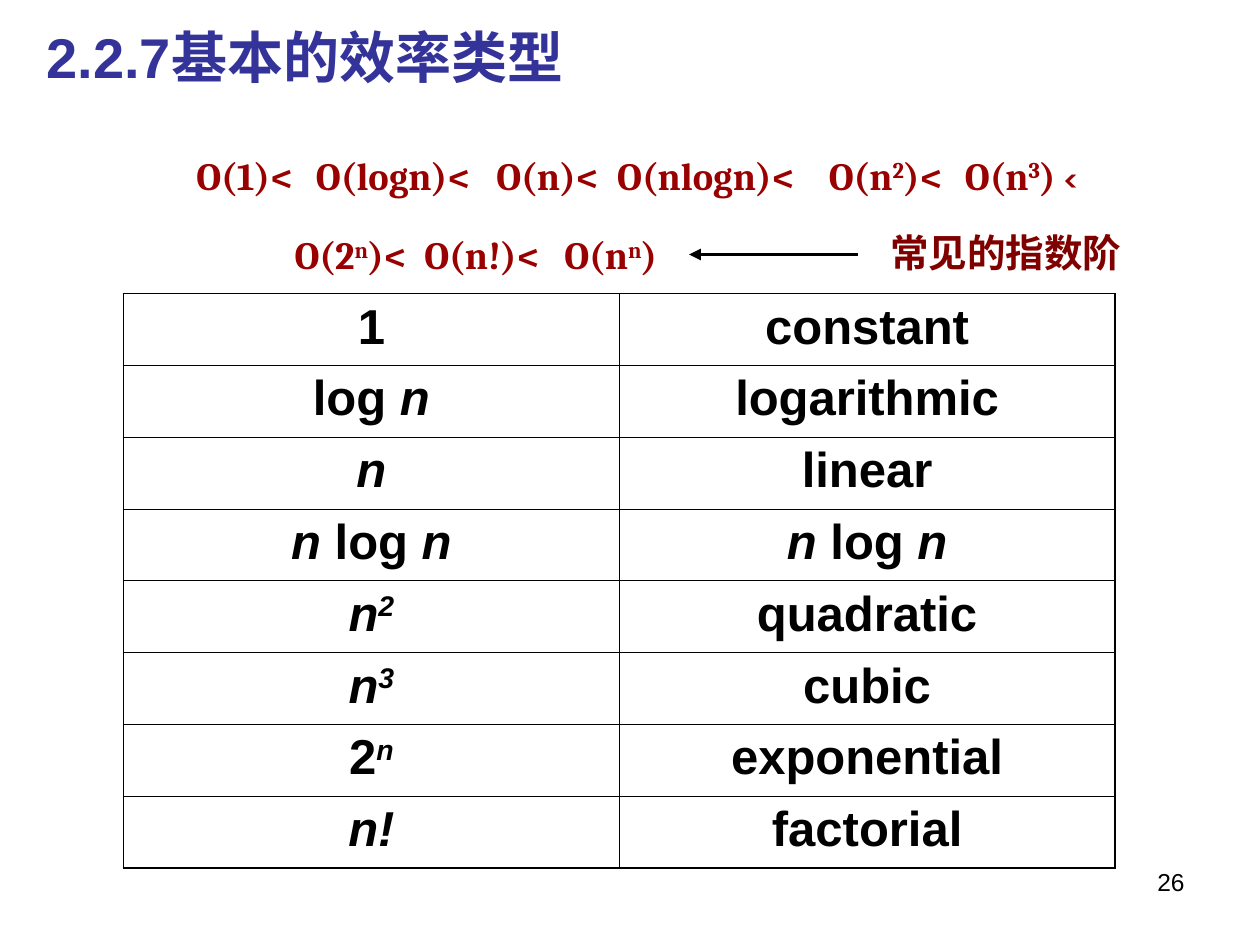
from lxml import etree
from pptx import Presentation
from pptx.dml.color import RGBColor
from pptx.enum.shapes import MSO_CONNECTOR
from pptx.enum.text import MSO_AUTO_SIZE, PP_ALIGN
from pptx.oxml.ns import qn
from pptx.util import Inches, Pt

STRAIGHT = MSO_CONNECTOR.STRAIGHT
LEFT, CENTER, RIGHT = PP_ALIGN.LEFT, PP_ALIGN.CENTER, PP_ALIGN.RIGHT
GROW = MSO_AUTO_SIZE.SHAPE_TO_FIT_TEXT
BLACK, BLUE, RED, MAROON = "000000", "333399", "990000", "800000"

SUP = {"sup": True}
ITALIC = {"italic": True}
ITALIC_SUP = {"italic": True, "sup": True}
LESS_THAN = {"font": "Cabin", "size": 18}

TITLE = [("2.2.7基本的效率类型", {})]
NOTE = [("常见的指数阶", {})]
PAGE = [("26", {})]

ORDER_ROWS = [
    (1.01, [
        (1.46, 1.05, [("O(1)<", {})]),
        (2.41, 1.56, [("O(logn)<", {})]),
        (3.84, 1.08, [("O(n)<", {})]),
        (4.80, 1.77, [("O(nlogn)<", {})]),
        (6.48, 1.18, [("O(n", {}), ("2", SUP), (")<", {})]),
        (7.56, 1.23, [("O(n", {}), ("3", SUP), (") ", {}), ("<", LESS_THAN)]),
    ]),
    (1.64, [
        (2.24, 1.17, [("O(2", {}), ("n", SUP), (")<", {})]),
        (3.27, 1.17, [("O(n!)<", {})]),
        (4.38, 1.02, [("O(n", {}), ("n", SUP), (")", {})]),
    ]),
]

N_LOG_N = [("n ", ITALIC), ("log ", {}), ("n", ITALIC)]
CLASSES = [
    ([("1", {})], [("constant", {})]),
    ([("log ", {}), ("n", ITALIC)], [("logarithmic", {})]),
    ([("n", ITALIC)], [("linear", {})]),
    (N_LOG_N, N_LOG_N),
    ([("n", ITALIC), ("2", ITALIC_SUP)], [("quadratic", {})]),
    ([("n", ITALIC), ("3", ITALIC_SUP)], [("cubic", {})]),
    ([("2", {}), ("n", ITALIC_SUP)], [("exponential", {})]),
    ([("n!", ITALIC)], [("factorial", {})]),
]
TABLE_LEFT, TABLE_TOP, TABLE_W, TABLE_H = 0.98, 2.33, 7.87, 4.56
OUTER, INNER = 1.08, 0.45


def rgb(value):
    return RGBColor.from_string(value)


def write(tf, runs, size, color, font="Arial", bold=True, align=LEFT, spacing=None):
    p = tf.paragraphs[0]
    p.alignment = align
    if spacing:
        p.line_spacing = spacing
    for text, style in runs:
        r = p.add_run()
        r.text = text
        r.font.name = style.get("font", font)
        r.font.size = Pt(style.get("size", size))
        r.font.bold = bold
        r.font.italic = style.get("italic", False)
        r.font.color.rgb = rgb(color)
        if style.get("sup"):
            r.font._element.set("baseline", "30000")


def add_text(s, box, runs, size, color, wrap=True, grow=False, **options):
    tf = s.shapes.add_textbox(*map(Inches, box)).text_frame
    tf.word_wrap = wrap
    if grow:
        tf.auto_size = GROW
    write(tf, runs, size, color, **options)


def set_borders(cell, widths):
    tc_pr = cell._tc.get_or_add_tcPr()
    for i, (side, width) in enumerate(widths.items()):
        ln = etree.Element(qn(f"a:ln{side}"), w=str(Pt(width)))
        fill = etree.SubElement(ln, qn("a:solidFill"))
        etree.SubElement(fill, qn("a:srgbClr"), val=BLACK)
        tc_pr.insert(i, ln)


def add_classes(s):
    rows, cols = len(CLASSES), len(CLASSES[0])
    box = map(Inches, (TABLE_LEFT, TABLE_TOP, TABLE_W, TABLE_H))
    table = s.shapes.add_table(rows, cols, *box).table
    table.first_row = table.horz_banding = False
    for i, row in enumerate(CLASSES):
        for j, runs in enumerate(row):
            cell = table.cell(i, j)
            cell.fill.background()
            write(cell.text_frame, runs, 28, BLACK, align=CENTER)
            edges = {"L": j == 0, "R": j == cols - 1, "T": i == 0, "B": i == rows - 1}
            set_borders(cell, {k: OUTER if edge else INNER for k, edge in edges.items()})


def add_arrow(s, tip, tail, y):
    line = s.shapes.add_connector(STRAIGHT, *map(Inches, (tip, y, tail, y)))
    line.line.color.rgb = rgb(BLACK)
    line.line.width = Pt(2.25)
    etree.SubElement(line.line._get_or_add_ln(), qn("a:headEnd"), type="triangle")
    etree.SubElement(line._element.spPr, qn("a:effectLst"))


def main():
    prs = Presentation()
    prs.slide_width, prs.slide_height = Inches(10), Inches(7.5)
    s = prs.slides.add_slide(prs.slide_layouts[6])
    add_text(s, (0.27, 0.13, 8.5, 2.68), TITLE, 32, BLUE)
    for top, orders in ORDER_ROWS:
        for left, width, runs in orders:
            add_text(s, (left, top, width, 0.62), runs, 22, RED, wrap=False,
                     grow=True, font="Cambria", spacing=1.4)
    add_text(s, (6.97, 1.62, 2.47, 0.62), NOTE, 22, MAROON, grow=True,
             font="Times New Roman", spacing=1.4)
    add_arrow(s, 5.47, 6.81, 2.02)
    add_classes(s)
    add_text(s, (7.17, 6.83, 2.33, 0.52), PAGE, 14, BLACK, bold=False, align=RIGHT)
    prs.save("out.pptx")


if __name__ == "__main__":
    main()
